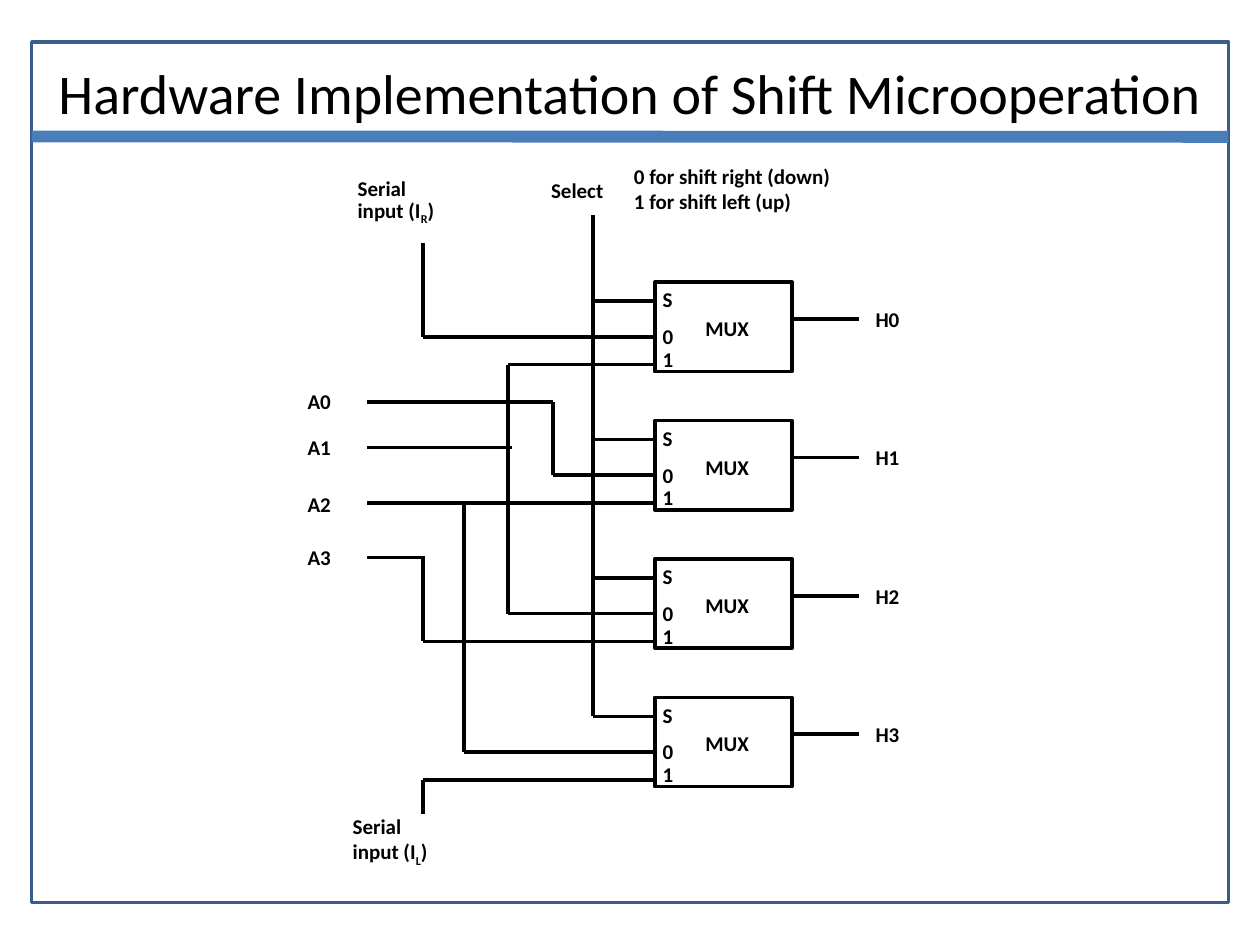
from pptx import Presentation
from pptx.dml.color import RGBColor
from pptx.enum.shapes import MSO_CONNECTOR as CONN, MSO_SHAPE as SHAPE
from pptx.enum.text import MSO_AUTO_SIZE as AUTO, PP_ALIGN as ALIGN
from pptx.oxml.ns import qn
from pptx.util import Cm, Pt
from lxml.etree import SubElement


def color(hex_text):
    return RGBColor.from_string(hex_text)


class Diagram:
    font = "Calibri"
    ink = "000000"
    stroke = 2

    def __init__(self, s):
        self.s = s

    def box(self, x, y, w, h, line=ink):
        sp = self.s.shapes.add_shape(SHAPE.RECTANGLE, Cm(x), Cm(y), Cm(w), Cm(h))
        sp.shadow.inherit = False
        sp.fill.background()
        sp.line.color.rgb = color(line)
        sp.line.width = Pt(self.stroke)

    def line(self, x1, y1, x2, y2, line=ink, width=stroke):
        c = self.s.shapes.add_connector(CONN.STRAIGHT, Cm(x1), Cm(y1), Cm(x2), Cm(y2))
        c.line.color.rgb = color(line)
        c.line.width = Pt(width)
        SubElement(c._element.spPr, qn("a:effectLst"))

    def text(self, x, y, w, h, *lines, size=12, bold=True, wrap=False,
             align=ALIGN.LEFT, spacing=None):
        """Each line is a string, or a (before, subscript, after) tuple."""
        tf = self.s.shapes.add_textbox(Cm(x), Cm(y), Cm(w), Cm(h)).text_frame
        tf.word_wrap = wrap
        tf.auto_size = AUTO.SHAPE_TO_FIT_TEXT
        for i, parts in enumerate(lines):
            p = tf.add_paragraph() if i else tf.paragraphs[0]
            p.alignment = align
            if spacing:
                p.line_spacing = spacing
            for j, part in enumerate([parts] if isinstance(parts, str) else parts):
                r = p.add_run()
                r.text = part
                r.font.name = self.font
                r.font.size = Pt(size)
                r.font.bold = bold
                r.font.color.rgb = color(self.ink)
                if j == 1:
                    r._r.get_or_add_rPr().set("baseline", "-25000")


# Grid: multiplexer rows, wire columns and pin heights, in cm
MUX_X, MUX_W, MUX_H = 13.2, 2.77, 1.8
MUX_TOP, MUX_STEP = 5.69, 2.79
PIN = {"S": 0.38, "0": 1.1, "1": 1.66}
LEFT, SERIAL, A2_X, A1_X, A0_X, SELECT = 7.39, 8.53, 9.35, 10.24, 11.15, 11.95


def pin_y(row, pin):
    return MUX_TOP + row * MUX_STEP + PIN[pin]


def main():
    prs = Presentation()
    prs.slide_width, prs.slide_height = Cm(25.4), Cm(19.05)
    d = Diagram(prs.slides.add_slide(prs.slide_layouts[6]))

    # Frame and title
    d.box(0.64, 0.85, 24.13, 17.35, "385D8A")
    d.line(0.64, 2.75, 24.76, 2.76, "4A7EBB", 6.75)
    d.text(0.85, 1.06, 23.7, 1.63, "Hardware Implementation of Shift Microoperation",
           size=32, bold=False, wrap=True, align=ALIGN.CENTER)

    # Multiplexers with their pins, input wires and outputs
    sources = [(SERIAL, A1_X), (A0_X, LEFT), (A1_X, SERIAL), (A2_X, SERIAL)]
    for row, (zero_x, one_x) in enumerate(sources):
        top = MUX_TOP + row * MUX_STEP
        d.box(MUX_X, top, MUX_W, MUX_H)
        for pin, dy, h in (("S", -0.03, 0.77), ("0", 0.71, 1.28), ("1", 1.17, 0.77)):
            d.text(13.11, top + dy, 0.73, h, pin)
        for pin, x in zip("S01", (SELECT, zero_x, one_x)):
            d.line(MUX_X, pin_y(row, pin), x, pin_y(row, pin))
        d.line(15.99, top + 0.74, 17.32, top + 0.74)
        d.text(17.4, top + 0.36, 1.02, 0.77, f"H{row}")
        d.text(13.97, top + 0.55, 1.42, 0.77, "MUX")

    # Vertical wires
    for x, y1, y2 in (
        (SELECT, pin_y(3, "S"), 4.34),
        (A0_X, pin_y(1, "0"), 8.1),
        (A1_X, pin_y(2, "0"), pin_y(0, "1")),
        (A2_X, pin_y(3, "0"), pin_y(1, "1")),
        (SERIAL, pin_y(2, "1"), 11.24),
        (SERIAL, pin_y(0, "0"), 4.9),
        (SERIAL, pin_y(3, "1"), 16.41),
    ):
        d.line(x, y1, x, y2)

    # Data inputs; A2 runs straight into its multiplexer
    for x, y in ((A0_X, 8.1), (A1_X + 0.08, 9.02), (SERIAL + 0.04, 11.24)):
        d.line(x, y, LEFT, y)
    for i, y in enumerate((7.71, 8.63, 9.78, 10.86)):
        d.text(5.95, y, 1.02, 0.77, f"A{i}")

    # Control and serial input labels
    d.text(10.86, 3.45, 1.62, 0.77, "Select")
    d.text(12.53, 3.17, 4.59, 1.28, "0 for shift right (down)", "1 for shift left (up)")
    d.text(6.96, 3.51, 2.08, 1.52, "Serial", ("input (I", "R", ")"), spacing=0.8)
    d.text(6.86, 16.28, 2.13, 1.83, "Serial", ("input (I", "L", ")"))

    prs.save("out.pptx")


if __name__ == "__main__":
    main()
